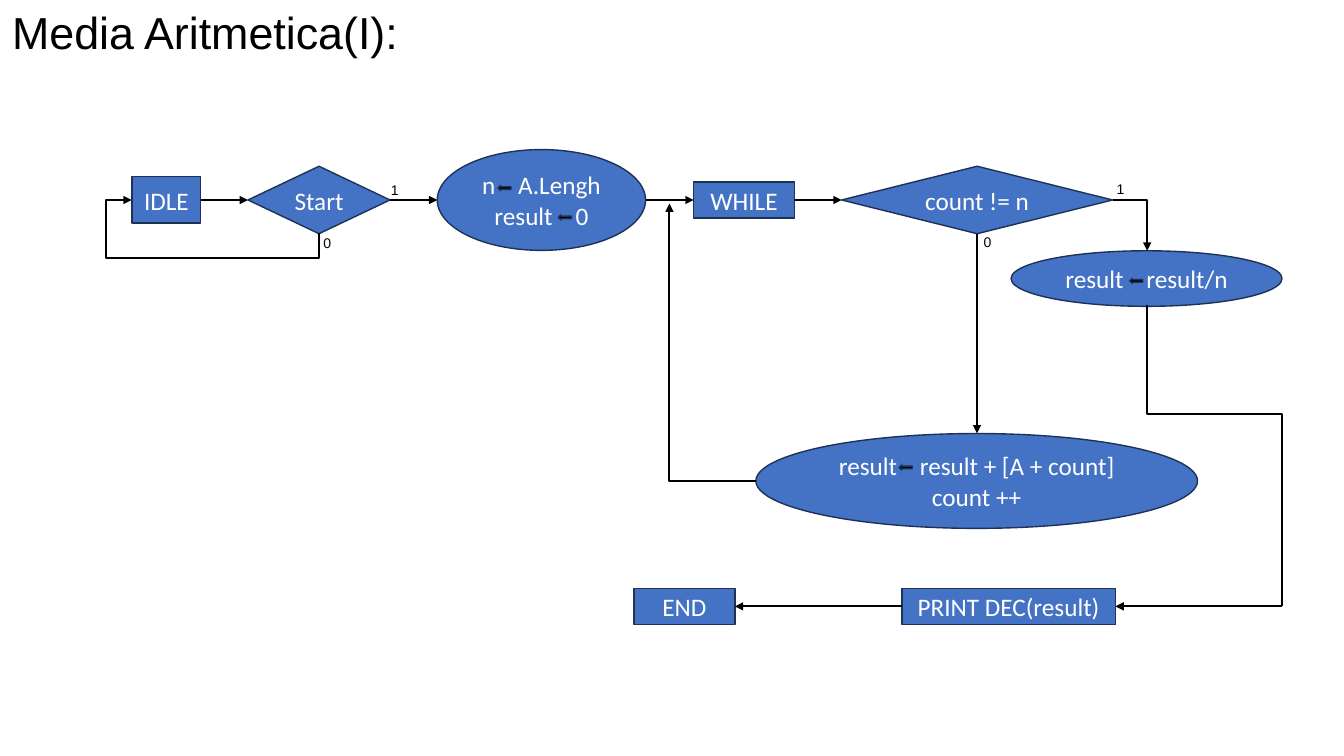
from lxml import etree
from pptx import Presentation
from pptx import util as u
from pptx.dml.color import RGBColor
from pptx.enum import shapes, text
from pptx.oxml.ns import qn

Cm, Pt = u.Cm, u.Pt
KIND = shapes.MSO_SHAPE
BLACK, WHITE, BLUE, NAVY = "000000", "FFFFFF", "4472C4", "1E3256"
MAIN_Y, PRINT_Y = 5.04, 15.28


def paint(target, color):
    """Give a fill or a line a solid colour."""
    target.solid()
    target.fore_color.rgb = RGBColor.from_string(color)


def add_span(para, words, size, font, color):
    span = para.add_run()
    span.text = words
    span.font.size = Pt(size)
    span.font.name = font
    span.font.color.rgb = RGBColor.from_string(color)
    return span


deck = Presentation()
deck.slide_width, deck.slide_height = Cm(33.87), Cm(19.05)
page = deck.slides.add_slide(deck.slide_layouts[5])

# Title
title = page.shapes.title
title.left, title.top, title.width, title.height = Cm(0.05), Cm(0), Cm(10.77), Cm(1.62)
frame = title.text_frame
frame.word_wrap = True
frame.auto_size = text.MSO_AUTO_SIZE.NONE
frame.vertical_anchor = text.MSO_ANCHOR.TOP
para = frame.paragraphs[0]
para.alignment = text.PP_ALIGN.LEFT
add_span(para, "Media Aritmetica(I):", 32, "Arial", BLACK)

# Steps: kind, left, middle, width, height, lines; a line in parts has a gap for an arrow
steps = [
    (KIND.RECTANGLE, 3.33, MAIN_Y, 1.73, 1.17, [["IDLE"]]),
    (KIND.FLOWCHART_DECISION, 6.25, MAIN_Y, 3.58, 1.7, [["Start"]]),
    (KIND.OVAL, 11.02, MAIN_Y, 5.25, 2.54, [["n", "A.Lengh"], ["result", "0"]]),
    (KIND.RECTANGLE, 17.48, MAIN_Y, 2.54, 0.91, [["WHILE"]]),
    (KIND.FLOWCHART_DECISION, 21.21, MAIN_Y, 6.83, 1.7, [["count != n"]]),
    (KIND.OVAL, 25.48, 7.02, 6.83, 1.4, [["result", "result/n"]]),
    (KIND.OVAL, 19.05, 12.12, 11.13, 2.39,
     [["result", "result + [A + count]"], ["count ++"]]),
    (KIND.RECTANGLE, 15.98, PRINT_Y, 2.54, 0.91, [["END"]]),
    (KIND.RECTANGLE, 22.73, PRINT_Y, 5.38, 0.91, [["PRINT DEC(result)"]]),
]
assignments = [(12.55, 4.74), (14.07, 5.48), (28.47, 7.08), (22.66, 11.78)]
steps += [(KIND.LEFT_ARROW, left, middle, 0.33, 0.13, []) for left, middle in assignments]

for kind, left, middle, width, height, lines in steps:
    step = page.shapes.add_shape(
        kind, Cm(left), Cm(middle - height / 2), Cm(width), Cm(height))
    step.shadow.inherit = False
    paint(step.fill, BLACK if kind == KIND.LEFT_ARROW else BLUE)
    paint(step.line.fill, NAVY)
    step.line.width = Pt(1)
    frame = step.text_frame
    frame.vertical_anchor = text.MSO_ANCHOR.MIDDLE
    for row, parts in enumerate(lines):
        para = frame.add_paragraph() if row else frame.paragraphs[0]
        para.alignment = text.PP_ALIGN.CENTER
        for place, part in enumerate(parts):
            if place:
                gap = add_span(para, " ", 18, "Calibri", WHITE)
                gap._r.get_or_add_rPr().set("spc", "1220")
            add_span(para, part, 18, "Calibri", WHITE)

# Links: begin, end, width, arrowhead, preset, quarter turns, adjustments
links = [
    ((5.06, MAIN_Y), (6.25, MAIN_Y), 1.5, True, "line", 0, []),
    ((9.83, MAIN_Y), (11.02, MAIN_Y), 1, True, "line", 0, []),
    ((16.27, MAIN_Y), (17.48, MAIN_Y), 1.5, True, "line", 0, []),
    ((20.02, MAIN_Y), (21.21, MAIN_Y), 1.5, True, "line", 0, []),
    ((24.62, 5.89), (24.62, 10.92), 1.5, True, "line", 0, []),
    ((32.31, PRINT_Y), (28.11, PRINT_Y), 1.5, True, "line", 0, []),
    ((22.73, PRINT_Y), (18.52, PRINT_Y), 1.5, True, "line", 0, []),
    ((28.04, MAIN_Y), (28.91, 6.32), 1.5, True, "bentConnector2", 0, []),
    ((16.87, 5.13), (19.05, 12.12), 1.5, True, "bentConnector2", 2, []),
    ((6.1, 3.1), (5.26, 7.82), 1.5, True, "bentConnector4", 1, [-74600, 113500]),
    ((34.39, 9.78), (26.82, 13.18), 1.5, False, "bentConnector3", 3, [36100]),
]
for begin, end, width, has_head, preset, turns, adjustments in links:
    link = page.shapes.add_connector(
        shapes.MSO_CONNECTOR.STRAIGHT, *(Cm(value) for value in begin + end))
    paint(link.line.fill, BLACK)
    link.line.width = Pt(width)
    properties = link._element.spPr
    geometry = properties.find(qn("a:prstGeom"))
    geometry.set("prst", preset)
    guides = geometry.find(qn("a:avLst"))
    for number, value in enumerate(adjustments, 1):
        name = "adj1" if len(adjustments) == 1 else f"adj{number}"
        etree.SubElement(guides, qn("a:gd"), name=name, fmla=f"val {value}")
    if turns:
        properties.find(qn("a:xfrm")).set("rot", str(turns * 90 * 60000))
    if has_head:
        etree.SubElement(properties.find(qn("a:ln")), qn("a:tailEnd"), type="triangle")
    etree.SubElement(properties, qn("a:effectLst"))

# Branch labels
for label, left, top in [("0", 7.9, 5.79), ("1", 9.6, 4.45),
                         ("1", 27.89, 4.42), ("0", 24.54, 5.77)]:
    box = page.shapes.add_textbox(Cm(left), Cm(top), Cm(1.35), Cm(0.69))
    box.text_frame.word_wrap = True
    add_span(box.text_frame.paragraphs[0], label, 10, "Arial", BLACK)

deck.save("out.pptx")
